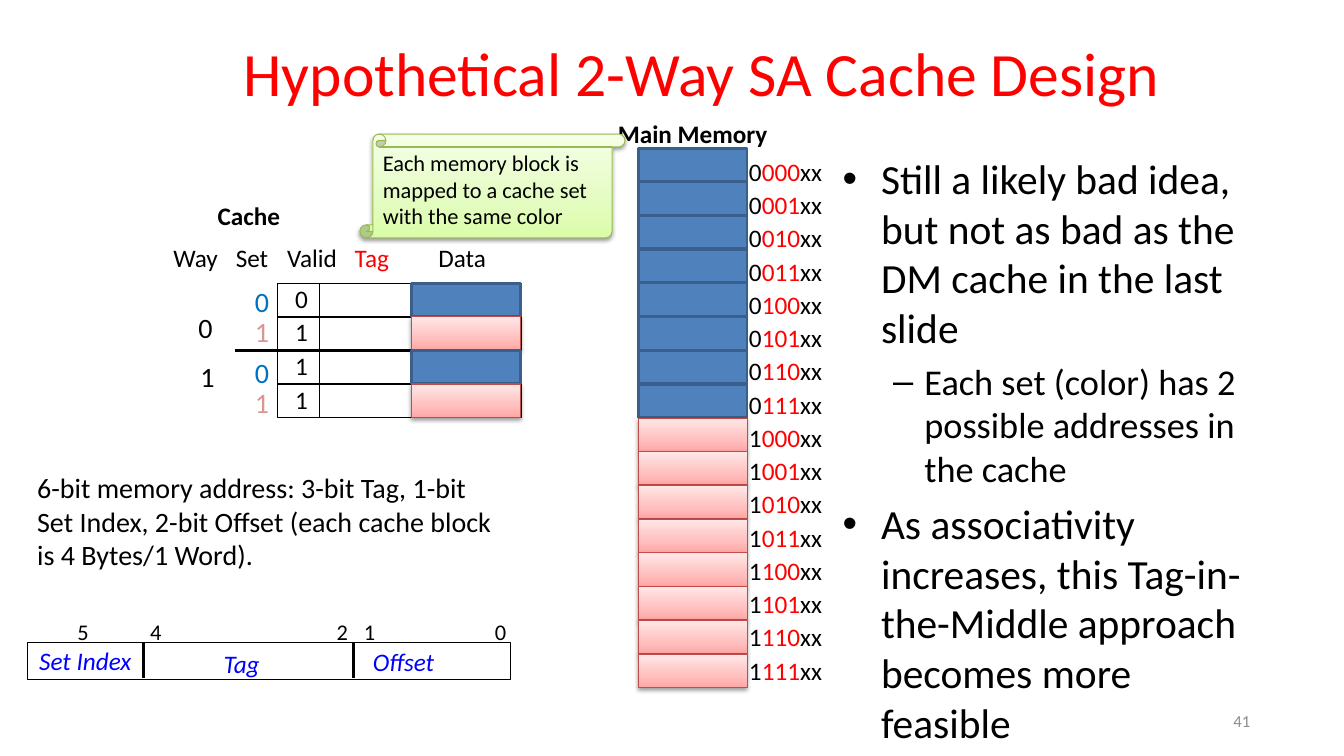
from copy import deepcopy

from lxml import etree
from pptx import Presentation
from pptx import util as u
from pptx.dml.color import RGBColor
from pptx.enum import shapes, text
from pptx.oxml.ns import qn

COLORS = {
    "black": "000000", "red": "FF0000", "gray": "8C8C8C", "field": "0000FF",
    "set0": "0070C0", "set1": "D99694", "blue": "4F81BD", "blue_line": "3A5F8C",
    "pink_line": "BF4C48", "green_line": "98B955",
}
GRADIENTS = {
    "pink": ["FFA6A5", "FFC0BF", "FFE7E7"],
    "green": ["DAFDA7", "E4FCC2", "F5FFE7"],
}
STOPS = [0, 0.35, 1]
ROW = 1 / 3


def color(name):
    """Return the named colour."""
    return RGBColor.from_string(COLORS[name])


def add_run(paragraph, words, size, ink="black", **formats):
    """Append a formatted run to a paragraph."""
    run = paragraph.add_run()
    run.text = words
    for name, value in {"name": "Calibri", "size": u.Pt(size), **formats}.items():
        setattr(run.font, name, value)
    run.font.color.rgb = color(ink)


def add_box(slide, left, top, width, height, **formats):
    """Add an empty text box and return its text frame."""
    frame = slide.shapes.add_textbox(*map(u.Inches, (left, top, width, height))).text_frame
    for name, value in {"word_wrap": True, **formats}.items():
        setattr(frame, name, value)
    return frame


def add_label(slide, words, left, top, width, size=18, ink="black", height=0.4, **formats):
    """Add a one-line label that does not wrap."""
    frame = add_box(slide, left, top, width, height, word_wrap=False)
    add_run(frame.paragraphs[0], words, size, ink, **formats)


def add_line(slide, x1, y1, x2, y2, width=1):
    """Draw a plain black line."""
    line = slide.shapes.add_connector(
        shapes.MSO_CONNECTOR.STRAIGHT, *map(u.Inches, (x1, y1, x2, y2)))
    line.line.color.rgb = color("black")
    line.line.width = u.Pt(width)
    etree.SubElement(line._element.spPr, qn("a:effectLst"))


def add_panel(slide, left, top, width, height, outline="black", weight=1, kind="RECTANGLE"):
    """Add an unfilled outlined shape without shadow."""
    shape = slide.shapes.add_shape(
        shapes.MSO_SHAPE[kind], *map(u.Inches, (left, top, width, height)))
    shape.shadow.inherit = False
    shape.fill.background()
    shape.line.color.rgb = color(outline)
    shape.line.width = u.Pt(weight)
    return shape


def shade(shape, gradient):
    """Give a shape a three-stop upward gradient and a soft shadow."""
    shape.fill.gradient()
    shape.fill.gradient_angle = 90
    properties = shape._element.spPr
    stop_list = properties.find(".//" + qn("a:gsLst"))
    stop_list.insert(1, deepcopy(stop_list[0]))
    for stop, position, value in zip(shape.fill.gradient_stops, STOPS, GRADIENTS[gradient]):
        stop.position = position
        stop.color.rgb = RGBColor.from_string(value)
    shadow = etree.SubElement(
        properties.find(qn("a:effectLst")), qn("a:outerShdw"),
        blurRad="40000", dist="20000", dir="5400000", rotWithShape="0")
    ink = etree.SubElement(shadow, qn("a:srgbClr"), val=COLORS["black"])
    etree.SubElement(ink, qn("a:alpha"), val="38000")


def add_block(slide, left, top, is_blue):
    """Add one blue or pink block of data."""
    if is_blue:
        block = add_panel(slide, left, top, 1.08, 0.33, "blue_line", 2)
        block.fill.solid()
        block.fill.fore_color.rgb = color("blue")
    else:
        shade(add_panel(slide, left, top, 1.08, 0.33, "pink_line", 0.75), "pink")


def add_title(slide, left, top, width, height):
    """Add the slide title."""
    frame = add_box(slide, left, top, width, height, vertical_anchor=text.MSO_ANCHOR.MIDDLE)
    paragraph = frame.paragraphs[0]
    paragraph.alignment = text.PP_ALIGN.CENTER
    paragraph.line_spacing = 0.85
    add_run(paragraph, "Hypothetical 2-Way SA Cache Design", 44, "red")


def add_cache(slide, left, top):
    """Draw the cache table with its headings, ways and sets."""
    valid, tag, data, right = (left + offset for offset in (1.13, 1.55, 2.46, 3.55))
    grid_top = top + 0.87
    add_label(slide, "Cache", left + 0.44, top, 0.83, bold=True)
    for words, offset, width, ink in [
            ("Way", 0, 0.65, "black"), ("Set", 0.62, 0.53, "black"),
            ("Valid", 1.13, 0.7, "black"), ("Tag", 1.8, 0.54, "red"),
            ("Data", 2.63, 0.68, "black")]:
        add_label(slide, words, left + offset, top + 0.41, width, ink=ink)
    for start, end in [(valid, tag), (tag, data), (data, right)]:
        add_panel(slide, start, grid_top, end - start, 4 * ROW)
    for row in range(1, 4):
        add_line(slide, valid, grid_top + row * ROW, right, grid_top + row * ROW)
    add_line(slide, left + 0.71, grid_top + 2 * ROW, right, grid_top + 2 * ROW, 2.25)
    for row, flag in enumerate("0111"):
        way, index = divmod(row, 2)
        add_block(slide, data, grid_top + row * ROW, index == 0)
        add_label(slide, flag, left + 1.21, grid_top - 0.05 + row * ROW, 0.33)
        add_label(slide, str(index), left + 0.81, grid_top - 0.04 + 0.71 * way + 0.3 * index,
                  0.34, 20, f"set{index}", 0.44)
    for way in range(2):
        add_label(slide, str(way), left + 0.25 + 0.02 * way, top + 1.09 + 0.49 * way,
                  0.34, 20, height=0.44)


def add_memory(slide, left, top):
    """Draw the sixteen memory blocks with their addresses."""
    add_label(slide, "Main Memory", left - 0.3, top - 0.35, 1.7, bold=True)
    frame = add_box(slide, left + 1, top, 1.08, 5.43)
    for number in range(16):
        add_block(slide, left, top + number * 0.3347, number < 8)
        paragraph = frame.paragraphs[0] if number == 0 else frame.add_paragraph()
        paragraph.line_spacing = 1.1
        bits = f"{number:04b}"
        for words, ink in [(bits[0], "black"), (bits[1:], "red"), ("xx", "black")]:
            add_run(paragraph, words, 18, ink)


def add_scroll(slide, left, top, width, height):
    """Add the green scroll that explains the colours."""
    scroll = add_panel(slide, left, top, width, height, "green_line", 0.75, "VERTICAL_SCROLL")
    shade(scroll, "green")
    scroll.text_frame.word_wrap = True
    scroll.text_frame.vertical_anchor = text.MSO_ANCHOR.MIDDLE
    paragraph = scroll.text_frame.paragraphs[0]
    paragraph.alignment = text.PP_ALIGN.LEFT
    add_run(paragraph, "Each memory block is mapped to a cache set with the same color", 16)


def add_address(slide, left, top, width):
    """Describe the memory address and draw its fields."""
    bar = top + 1.75
    frame = add_box(slide, left, top, width, 1.11)
    add_run(frame.paragraphs[0], "6-bit memory address: 3-bit Tag, 1-bit Set Index, "
            "2-bit Offset (each cache block is 4 Bytes/1 Word).", 20)
    add_panel(slide, left, bar, 4.79, 0.37, weight=0.75)
    for offset in (1.15, 3.24):
        add_line(slide, left + offset, bar, left + offset, bar + 0.36, 2)
    for bit, offset in [("5", 0.4), ("4", 1.12), ("2", 2.97), ("1", 3.24), ("0", 4.54)]:
        add_label(slide, bit, left + offset, bar - 0.29, 0.32, 16, height=0.37)
    for words, offset, drop, field_width in [
            ("Set Index", 0.02, -0.02, 1.12), ("Tag", 1.85, 0.01, 0.56),
            ("Offset", 3.33, -0.01, 0.82)]:
        add_label(slide, words, left + offset, bar + drop, field_width, ink="field", italic=True)


def add_remarks(slide, left, top, width, height):
    """Add the bulleted remarks."""
    frame = add_box(slide, left, top, width, height)
    for number, (words, level) in enumerate([
            ("Still a likely bad idea, but not as bad as the DM cache in the last slide", 0),
            ("Each set (color) has 2 possible addresses in the cache", 1),
            ("As associativity increases, this Tag-in-the-Middle approach becomes more feasible", 0)]):
        paragraph = frame.add_paragraph() if number else frame.paragraphs[0]
        size, margin, hang, bullet = [(29.6, 0.38, 0.38, "•"), (25.9, 0.81, 0.31, "–")][level]
        properties = paragraph._p.get_or_add_pPr()
        properties.set("marL", str(u.Inches(margin)))
        properties.set("indent", str(-u.Inches(hang)))
        etree.SubElement(properties, qn("a:buFont"), typeface="Arial")
        etree.SubElement(properties, qn("a:buChar"), char=bullet)
        paragraph.level = level
        if number:
            paragraph.space_before = u.Pt(round(size * 0.2))
        add_run(paragraph, words, size)


def add_number(slide, left, top, width, height):
    """Add the slide number."""
    frame = add_box(slide, left, top, width, height, vertical_anchor=text.MSO_ANCHOR.MIDDLE)
    frame.paragraphs[0].alignment = text.PP_ALIGN.RIGHT
    add_run(frame.paragraphs[0], "41", 12, "gray")


def main():
    """Build and save the slide."""
    presentation = Presentation()
    presentation.slide_width = u.Inches(13.33)
    presentation.slide_height = u.Inches(7.5)
    slide = presentation.slides.add_slide(presentation.slide_layouts[6])
    add_title(slide, 2.17, 0.3, 9.58, 0.95)
    add_cache(slide, 1.62, 1.94)
    add_memory(slide, 6.33, 1.47)
    add_scroll(slide, 3.57, 1.33, 2.63, 1.03)
    add_address(slide, 0.27, 4.62, 4.76)
    add_remarks(slide, 8.26, 1.47, 4.29, 5.86)
    add_number(slide, 10.17, 6.95, 2.33, 0.4)
    presentation.save("out.pptx")


if __name__ == "__main__":
    main()
